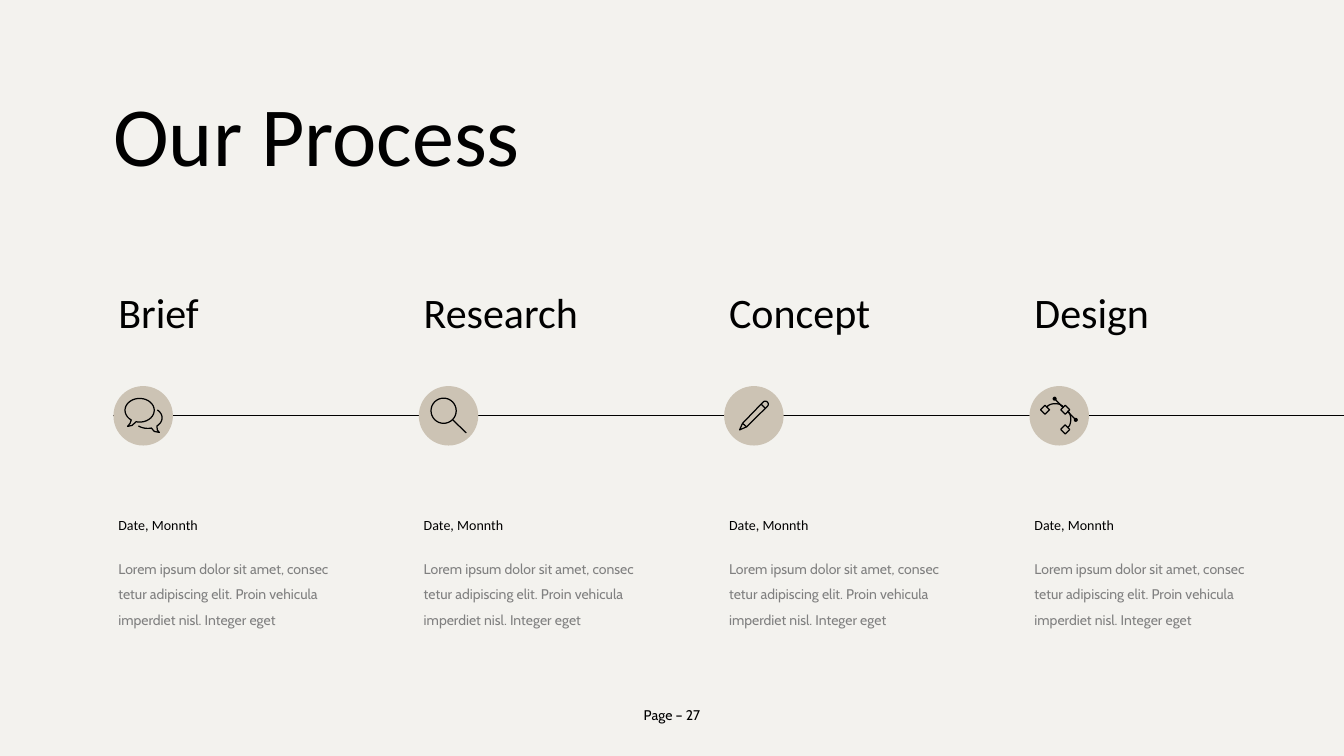
"""Build the four-step "Our Process" timeline slide."""
from math import cos, radians, sin

from lxml import etree
from pptx import Presentation
from pptx.dml.color import RGBColor
from pptx.enum import shapes, text
from pptx.oxml.ns import qn
from pptx.util import Inches, Pt

PAPER, SAND, BLACK, GREY = "F3F2EE", "CCC3B4", "000000", "808080"
LEFT, STEP, LINE_Y, CIRCLE = 2.25, 6.057, 8.25, 1.18
STROKE = 1.75
STEPS = ["Brief", "Research", "Concept", "Design"]
DATE = "Date, Monnth"
BODY = ("Lorem ipsum dolor sit amet, consec tetur adipiscing elit. "
        "Proin vehicula imperdiet nisl. Integer eget")


def arc(x, y, radius_x, radius_y, start, end):
    angles = [radians(start + (end - start) * i / 32) for i in range(33)]
    return [(x + radius_x * cos(a), y + radius_y * sin(a)) for a in angles]


def add_line(page, x1, y1, x2, y2, width):
    line = page.shapes.add_connector(
        shapes.MSO_CONNECTOR.STRAIGHT, Inches(x1), Inches(y1), Inches(x2), Inches(y2))
    line.line.color.rgb = RGBColor.from_string(BLACK)
    line.line.width = Pt(width)
    etree.SubElement(line._element.spPr, qn("a:effectLst"))


deck = Presentation()
deck.slide_width, deck.slide_height = Inches(26.66), Inches(15)
page = deck.slides.add_slide(deck.slide_layouts[6])
page.background.fill.solid()
page.background.fill.fore_color.rgb = RGBColor.from_string(PAPER)

labels = [("Our Process", 2.15, 0.59, 12.83, 3.13, 120, "Calibri", BLACK)]
for i, step in enumerate(STEPS):
    x = LEFT + i * STEP
    labels += [
        (step, x, 5.14, 4.87, 1.61, 60, "Calibri", BLACK),
        (DATE, x, 10.04, 3.94, 0.77, 20, "Calibri", BLACK),
        (BODY, x, 10.91, 4.65, 1.79, 20, "Cabin", GREY),
    ]
labels.append(("Page – 27", 10.26, 13.84, 6.14, 0.54, 20, "Cabin", BLACK))

for words, x, y, width, height, size, font, color in labels:
    box = page.shapes.add_textbox(Inches(x), Inches(y), Inches(width), Inches(height))
    box.text_frame.word_wrap = True
    box.text_frame.text = words
    para = box.text_frame.paragraphs[0]
    para.line_spacing = 1.5
    span = para.runs[0]
    span.font.size = Pt(size)
    span.font.name = font
    span.font.color.rgb = RGBColor.from_string(color)
footer = box.text_frame
footer.vertical_anchor = text.MSO_ANCHOR.MIDDLE
footer.paragraphs[0].alignment = text.PP_ALIGN.CENTER

add_line(page, LEFT, LINE_Y, 26.66, LINE_Y, 1.5)

dots = [(LEFT + i * STEP + CIRCLE / 2, LINE_Y, CIRCLE, SAND) for i in range(len(STEPS))]
dots += [(20.92, 7.91, 0.08, BLACK), (21.34, 8.33, 0.08, BLACK)]
for x, y, size, color in dots:
    dot = page.shapes.add_shape(
        shapes.MSO_SHAPE.OVAL, Inches(x - size / 2), Inches(y - size / 2),
        Inches(size), Inches(size))
    dot.shadow.inherit = False
    dot.fill.solid()
    dot.fill.fore_color.rgb = RGBColor.from_string(color)
    dot.line.fill.background()

front_bubble = arc(2.77, 8.14, 0.29, 0.235, -235, 104) + [(2.62, 8.44), (2.53, 8.46), (2.58, 8.4)]
back_bubble = (arc(2.93, 8.29, 0.285, 0.21, -48, 50)
               + [(3.12, 8.53), (3.16, 8.58), (3.06, 8.56)]
               + arc(2.93, 8.29, 0.285, 0.21, 75, 130))
lens = arc(8.8, 8.15, 0.25, 0.25, 0, 360)
pencil = [(14.67, 8.53), (14.73, 8.4)] + arc(15.18, 8.02, 0.06, 0.06, -135, 45) + [(14.81, 8.47)]
top_curve = arc(20.93, 8.09, 0.16, 0.08, 180, 360)
side_curve = arc(21.17, 8.32, 0.07, 0.16, -90, 90)
diamonds = [[(x - 0.09, y), (x, y - 0.09), (x + 0.09, y), (x, y + 0.09)]
            for x, y in [(20.73, 8.13), (21.13, 8.13), (21.13, 8.52)]]

outlines = [(front_bubble, True), (back_bubble, False), (lens, True), (pencil, True),
            (top_curve, False), (side_curve, False)]
outlines += [(diamond, True) for diamond in diamonds]
for points, closed in outlines:
    corners = [(Inches(x), Inches(y)) for x, y in points]
    builder = page.shapes.build_freeform(*corners[0])
    builder.add_line_segments(corners[1:], close=closed)
    outline = builder.convert_to_shape()
    outline.shadow.inherit = False
    outline.fill.background()
    outline.line.color.rgb = RGBColor.from_string(BLACK)
    outline.line.width = Pt(STROKE)

for ends in [
    (8.98, 8.33, 9.25, 8.59),
    (14.73, 8.4, 14.81, 8.47),
    (15.1, 8.02, 15.18, 8.1),
    (20.92, 7.91, 21.08, 8.08),
    (21.18, 8.17, 21.34, 8.33),
]:
    add_line(page, *ends, STROKE)

deck.save("out.pptx")
